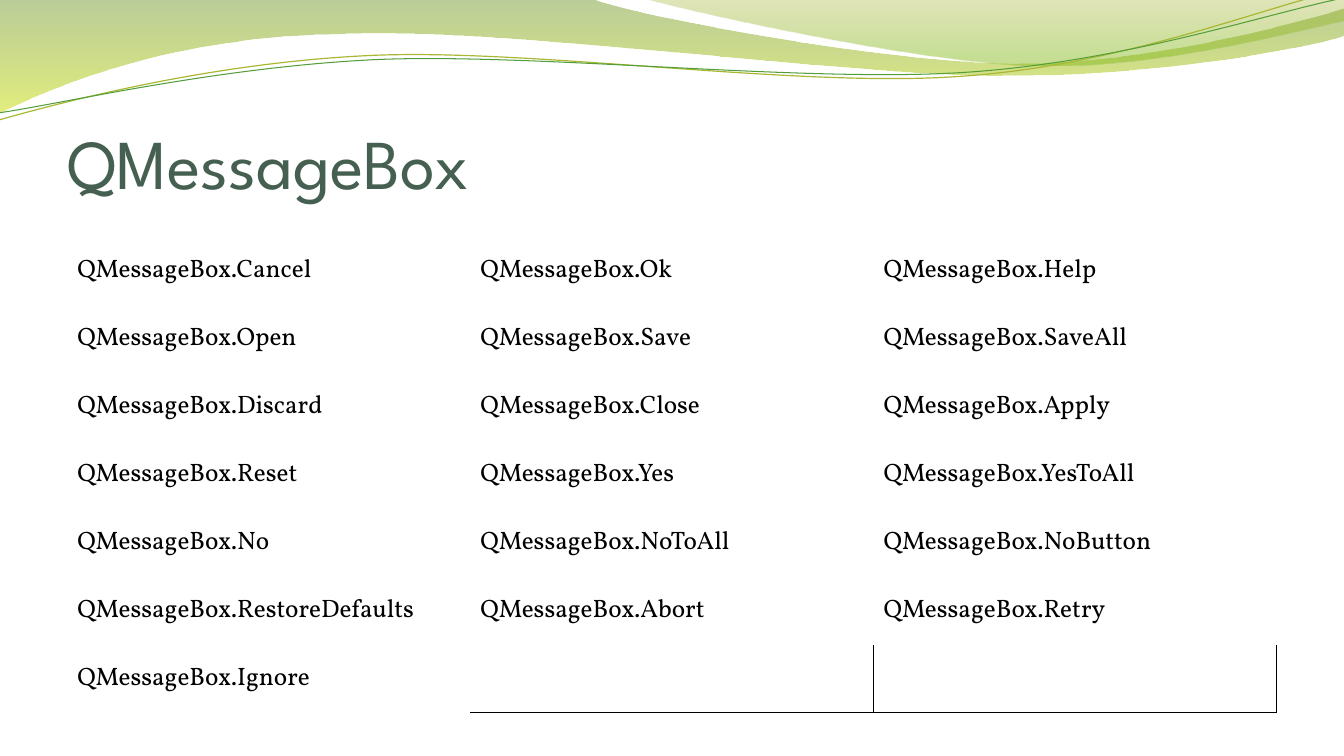
import math
from dataclasses import dataclass

from lxml import etree
from pptx import Presentation
from pptx import util as u
from pptx.dml import color as c
from pptx.enum import text
from pptx.oxml import ns

# Grid: 40 columns by 22.5 rows of square units
UNIT = u.Inches(13.333) / 40
COLORS = {
    "title": "455F51", "body": "000000", "border": "000000",
    "olive": "69921C", "lime": "CCE10F", "moss": "9BAA1A", "leaf": "81BA16",
    "gold line": "A9B733", "green line": "549E39",
}
NO_GRID_STYLE = "{2D5ABB26-0587-4C30-8999-92F81FD0307C}"
HEADING_FONT, BODY_FONT = "League Spartan", "Vollkorn"


@dataclass
class Stop:
    position: float
    color: str
    opacity: int


@dataclass
class Wave:
    """A path: two numbers are a straight step, six a Bezier curve."""
    box: tuple[float, float, float, float]
    start: tuple[float, float]
    steps: list[tuple[float, ...]]
    stops: tuple[Stop, ...] = ()
    line: str = ""
    width: float = 0
    tilt: float = 0


WAVES = [
    Wave((-0.06, -0.03, 40.08, 3.42), (0, 0), [
        (17.61, -0.03),
        (19.02, 0.51, 26.52, 1.89, 30.33, 1.89),
        (34.11, 1.89, 38.31, 0.78, 39.99, 0.27),
        (40.02, 1.08),
        (39.33, 1.32, 34.77, 2.28, 29.82, 2.25),
        (24.87, 2.25, 15.27, 0.84, 10.29, 1.02),
        (5.16, 1.08, 1.83, 2.49, -0.06, 3.39),
    ], stops=(Stop(0, "olive", 45), Stop(1, "lime", 55))),
    Wave((19.14, -0.03, 20.86, 2.1), (19.14, -0.03), [
        (20.37, 0.33, 27.27, 1.86, 30.75, 1.95),
        (34.2, 2.07, 38.46, 0.96, 39.99, 0.63),
        (40, 0),
    ], stops=(Stop(0, "moss", 30), Stop(0.8, "leaf", 45))),
    Wave((-0.09, 0.66, 40.08, 2.13), (-0.03, 3.57), [
        (1.89, 3.03, 6.3, 1.86, 11.07, 1.65),
        (15.81, 1.44, 23.67, 2.61, 28.47, 2.28),
        (33.3, 1.98, 37.53, 0.24, 39.9, -0.3),
    ], line="gold line", width=0.85, tilt=-2.7),
    Wave((-0.06, 0.9, 40.14, 1.74), (-0.03, 3.36), [
        (1.86, 3.09, 6.54, 1.98, 11.31, 1.77),
        (16.11, 1.59, 23.88, 2.46, 28.65, 2.16),
        (33.42, 1.86, 37.65, 0.42, 39.99, -0.06),
    ], line="green line", width=0.75, tilt=-2.7),
]

BUTTONS = [
    ("Cancel", "Ok", "Help"),
    ("Open", "Save", "SaveAll"),
    ("Discard", "Close", "Apply"),
    ("Reset", "Yes", "YesToAll"),
    ("No", "NoToAll", "NoButton"),
    ("RestoreDefaults", "Abort", "Retry"),
    ("Ignore", "", ""),
]


def grid(units: float) -> u.Emu:
    return u.Emu(round(units * UNIT))


def rgb(name: str) -> c.RGBColor:
    return c.RGBColor.from_string(COLORS[name])


def to_box(wave: Wave, x: float, y: float) -> tuple[int, int]:
    """Place a slide point inside the wave's untilted box."""
    left, top, width, height = wave.box
    angle = math.radians(-wave.tilt)
    dx, dy = x - left - width / 2, y - top - height / 2
    return (grid(width / 2 + dx * math.cos(angle) - dy * math.sin(angle)),
            grid(height / 2 + dx * math.sin(angle) + dy * math.cos(angle)))


def bend(shape, wave: Wave) -> None:
    """Give the outline its Bezier steps."""
    outline = shape.element.spPr.find(".//" + ns.qn("a:path"))
    for child in list(outline):
        outline.remove(child)
    outline.set("w", str(shape.width))
    outline.set("h", str(shape.height))
    for index, step in enumerate([wave.start, *wave.steps]):
        kind = "moveTo" if index == 0 else "lnTo" if len(step) == 2 else "cubicBezTo"
        command = etree.SubElement(outline, ns.qn("a:" + kind))
        for x, y in zip(step[::2], step[1::2]):
            px, py = to_box(wave, x, y)
            etree.SubElement(command, ns.qn("a:pt"), x=str(px), y=str(py))
    if wave.stops:
        etree.SubElement(outline, ns.qn("a:close"))


def draw_wave(page, wave: Wave) -> None:
    builder = page.shapes.build_freeform(*map(grid, wave.start))
    builder.add_line_segments([tuple(map(grid, step[-2:])) for step in wave.steps],
                              close=bool(wave.stops))
    shape = builder.convert_to_shape()
    shape.left, shape.top, shape.width, shape.height = map(grid, wave.box)
    shape.rotation = wave.tilt
    bend(shape, wave)
    shape.shadow.inherit = False
    if wave.line:
        shape.fill.background()
        shape.line.color.rgb = rgb(wave.line)
        shape.line.width = u.Pt(wave.width)
        return
    shape.line.fill.background()
    shape.fill.gradient()
    shape.fill.gradient_angle = 270
    for target, stop in zip(shape.fill.gradient_stops, wave.stops):
        target.position = stop.position
        target.color.rgb = rgb(stop.color)
    # Stop opacity
    tints = shape.element.spPr.findall(".//" + ns.qn("a:gs") + "/" + ns.qn("a:srgbClr"))
    for tint, stop in zip(tints, wave.stops):
        etree.SubElement(tint, ns.qn("a:alpha"), val=str(stop.opacity * 1000))


def style(para, font: str, size: float, color: str) -> None:
    para.font.name = font
    para.font.size = u.Pt(size)
    para.font.color.rgb = rgb(color)


def draw_title(page, words: str) -> None:
    box = page.shapes.add_textbox(grid(2), grid(2.31), grid(36), grid(3.75))
    frame = box.text_frame
    frame.word_wrap = True
    frame.vertical_anchor = text.MSO_ANCHOR.BOTTOM
    frame.margin_left = frame.margin_right = frame.margin_bottom = 0
    frame.text = words
    style(frame.paragraphs[0], HEADING_FONT, 50, "title")


def add_border(cell, sides: tuple[str, ...]) -> None:
    for index, side in enumerate(sides):
        line = etree.Element(ns.qn("a:" + side), w=str(u.Pt(0.75)))
        fill = etree.SubElement(line, ns.qn("a:solidFill"))
        etree.SubElement(fill, ns.qn("a:srgbClr"), val=COLORS["border"])
        cell._tc.get_or_add_tcPr().insert(index, line)


def draw_buttons(page, rows: list[tuple[str, ...]]) -> None:
    frame = page.shapes.add_table(len(rows), len(rows[0]), grid(2), grid(7.05),
                                  grid(36), grid(14.17))
    table = frame.table
    table.first_row = table.horz_banding = False
    table._tbl.tblPr.find(ns.qn("a:tableStyleId")).text = NO_GRID_STYLE
    for r, names in enumerate(rows):
        for col, name in enumerate(names):
            cell = table.cell(r, col)
            cell.fill.background()
            cell.vertical_anchor = text.MSO_ANCHOR.MIDDLE
            if name:
                cell.text = f"QMessageBox.{name}"
                style(cell.text_frame.paragraphs[0], BODY_FONT, 18, "body")
            else:
                add_border(cell, ("lnR", "lnB"))


def main() -> None:
    deck = Presentation()
    deck.slide_width, deck.slide_height = grid(40), grid(22.5)
    page = deck.slides.add_slide(deck.slide_layouts[6])
    for wave in WAVES:
        draw_wave(page, wave)
    draw_title(page, "QMessageBox")
    draw_buttons(page, BUTTONS)
    deck.save("out.pptx")


if __name__ == "__main__":
    main()
